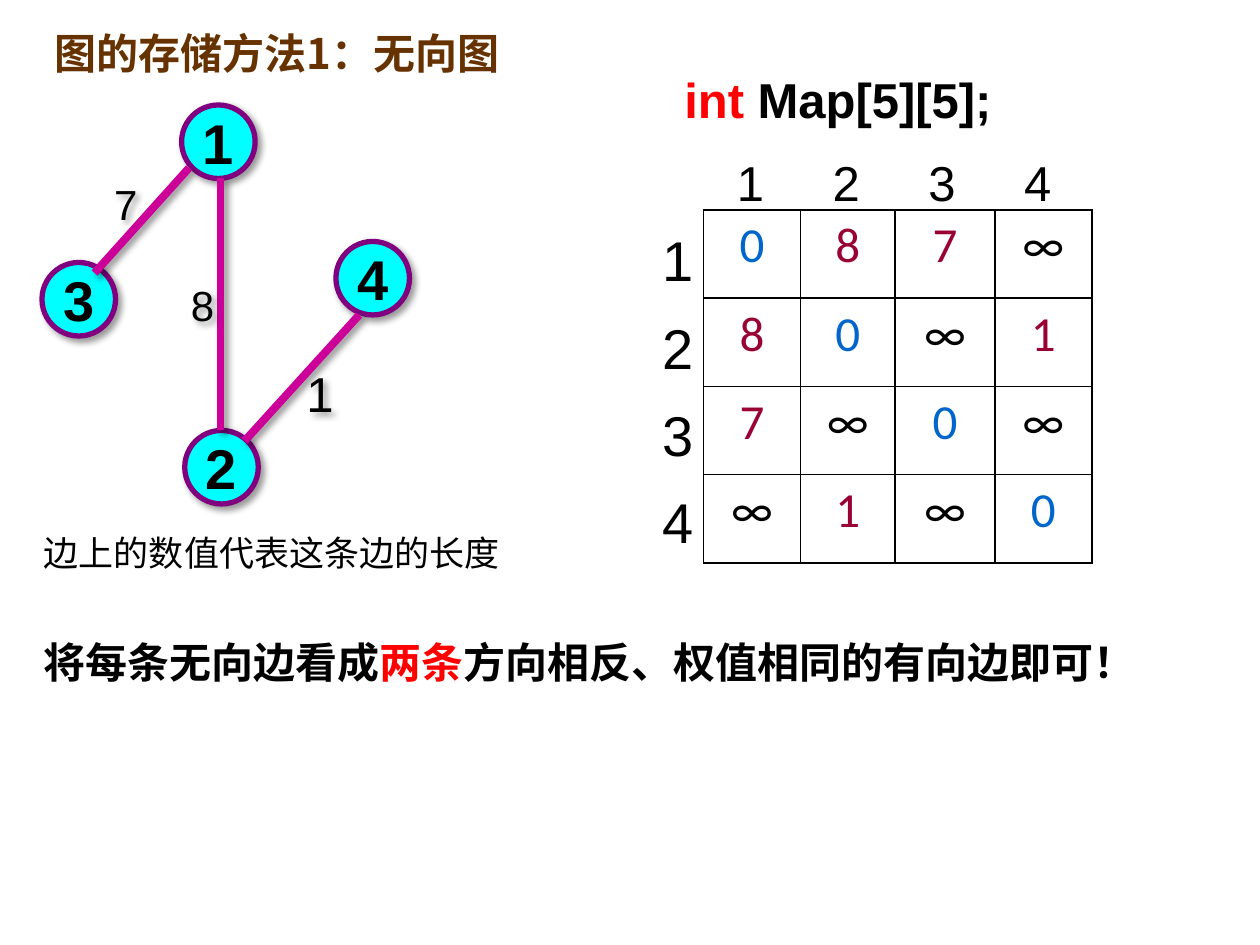
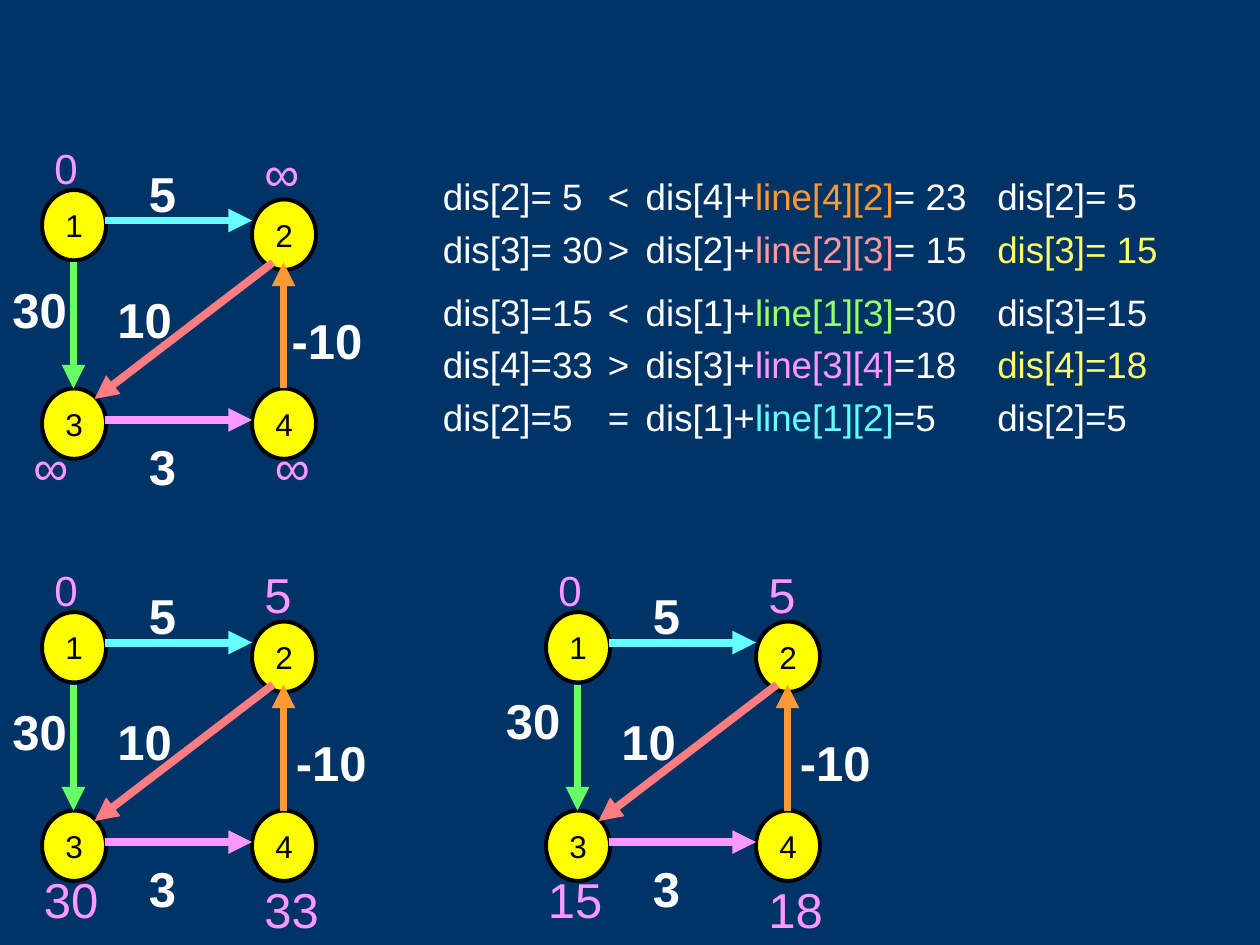
from dataclasses import dataclass

from lxml import etree
from pptx import Presentation
from pptx import util as u
from pptx.dml.color import RGBColor
from pptx.enum import shapes, text
from pptx.oxml import parse_xml
from pptx.oxml.ns import nsdecls, qn


@dataclass(frozen=True)
class Theme:
    latin: str = "Arial"
    title_font: str = "Noto Sans CJK JP"
    bold_cjk: str = "Noto Sans CJK SC"
    table_font: str = "Calibri"
    white: str = "FFFFFF"
    black: str = "000000"
    navy: str = "003366"
    brown: str = "663300"
    red: str = "FF0000"
    blue: str = "0066CC"
    crimson: str = "990033"
    aqua: str = "00FFFF"
    purple: str = "800080"
    magenta: str = "CC0099"
    yellow: str = "FFFF00"
    pale_yellow: str = "FFFF66"
    green: str = "66FF66"
    lime: str = "99FF66"
    pink: str = "FF99FF"
    orange: str = "FF9933"
    salmon: str = "FF7C80"
    rose: str = "FF9999"
    cyan: str = "66FFFF"
    vertex: int = 32
    code: int = 28
    heading: int = 24
    formula: int = 21
    caption: int = 20
    small_vertex: int = 18
    edge: float = 4.5


T = Theme()
CELL = u.Inches(10) / 120  # the slide is a grid of 120 columns and 90 rows
SHADOW = (f'<a:effectLst {nsdecls("a")}><a:outerShdw blurRad="50800" dist="38100" '
          'dir="2700000"><a:srgbClr val="000000"><a:alpha val="40000"/></a:srgbClr>'
          '</a:outerShdw></a:effectLst>')
FLAT = f'<a:effectLst {nsdecls("a")}/>'


def label(slide, at, lines, size, font=T.latin, bold=False, disc=None, effect=FLAT,
          tabs=()):
    """Write lines of (words, colour) runs; disc = (fill, line, width) draws a vertex."""
    place = [round(n * CELL) for n in at]
    if disc:
        fill, outline, width = disc
        box = slide.shapes.add_shape(shapes.MSO_SHAPE.OVAL, *place)
        box.fill.solid()
        box.fill.fore_color.rgb = RGBColor.from_string(fill)
        box.line.color.rgb = RGBColor.from_string(outline)
        box.line.width = u.Pt(width)
        box.text_frame.vertical_anchor = text.MSO_ANCHOR.MIDDLE
    else:
        box = slide.shapes.add_textbox(*place)
    box._element.spPr.append(parse_xml(effect))
    frame = box.text_frame
    frame.word_wrap = not disc
    for i, runs in enumerate(lines):
        para = frame.add_paragraph() if i else frame.paragraphs[0]
        para.alignment = text.PP_ALIGN.CENTER if disc else text.PP_ALIGN.LEFT
        if tabs:
            stops = etree.SubElement(para._p.get_or_add_pPr(), qn("a:tabLst"))
            for stop in tabs:
                etree.SubElement(stops, qn("a:tab"), pos=str(u.Inches(stop)), algn="l")
        for words, colour in runs:
            run = para.add_run()
            run.text = words
            run.font.size = u.Pt(size)
            run.font.bold = bold
            run.font.color.rgb = RGBColor.from_string(colour)
            run.font.name = font
            etree.SubElement(run.font._element, qn("a:ea"), typeface=font)
    return frame


def join(slide, start, end, colour, arrow=False, effect=FLAT):
    """Draw a graph edge between two grid points."""
    ends = [round(n * CELL) for n in (*start, *end)]
    edge = slide.shapes.add_connector(shapes.MSO_CONNECTOR.STRAIGHT, *ends)
    edge.line.color.rgb = RGBColor.from_string(colour)
    edge.line.width = u.Pt(T.edge)
    if arrow:
        etree.SubElement(edge.line._get_or_add_ln(), qn("a:tailEnd"), type="triangle")
    edge._element.spPr.append(parse_xml(effect))


deck = Presentation()
deck.slide_width, deck.slide_height = u.Inches(10), u.Inches(7.5)
storage, relaxation = [deck.slides.add_slide(deck.slide_layouts[6]) for _ in range(2)]
for slide, colour in ((storage, T.white), (relaxation, T.navy)):
    slide.background.fill.solid()
    slide.background.fill.fore_color.rgb = RGBColor.from_string(colour)

# Slide 1: undirected graph and its adjacency matrix
label(storage, (4, 2, 61, 6), [[("图的存储方法1：无向图", T.brown)]], T.heading,
      T.title_font, bold=True)

vertices = {1: (17.3, 10), 3: (4, 25), 2: (17.6, 41), 4: (32, 23)}
for vertex, corner in vertices.items():
    label(storage, (*corner, 7, 7), [[(str(vertex), T.black)]], T.vertex, bold=True,
          disc=(T.aqua, T.purple, 3), effect=SHADOW)

# vertex pair: length, edge ends, label corner, label size
roads = {
    (2, 4): (1, (34.2, 30), (23.3, 42), (28, 34), T.code),
    (1, 3): (7, (18, 16), (9, 26), (9.7, 16.4), T.heading),
    (1, 2): (8, (21, 17), (21, 41), (17, 26), T.heading),
}
for length, start, end, corner, size in roads.values():
    join(storage, start, end, T.magenta, effect=SHADOW)
    label(storage, (*corner, 7, 6), [[(str(length), T.black)]], size, effect=SHADOW)

column_widths, row_height = (9.25, 9, 9.5, 9.25), 8.4
matrix_at = [round(n * CELL) for n in (67, 20, sum(column_widths), 4 * row_height)]
matrix = storage.shapes.add_table(4, 4, *matrix_at).table
matrix.first_row = matrix.horz_banding = False
for column, width in zip(matrix.columns, column_widths):
    column.width = round(width * CELL)
for r, row in enumerate(matrix.rows, 1):
    row.height = round(row_height * CELL)
    for c, entry in enumerate(row.cells, 1):
        pair = (min(r, c), max(r, c))
        if r == c:
            value, colour = "0", T.blue
        elif pair in roads:
            value, colour = str(roads[pair][0]), T.crimson
        else:
            value, colour = "∞", T.black
        entry.text_frame.text = value
        para = entry.text_frame.paragraphs[0]
        para.alignment = text.PP_ALIGN.CENTER
        font = para.runs[0].font
        font.size, font.name = u.Pt(T.code), T.table_font
        font.color.rgb = RGBColor.from_string(colour)
        entry.fill.background()
        for i, side in enumerate(("lnL", "lnR", "lnT", "lnB")):
            border = parse_xml(f'<a:{side} {nsdecls("a")} w="12700"><a:solidFill>'
                               f'<a:srgbClr val="{T.black}"/></a:solidFill></a:{side}>')
            entry._tc.get_or_add_tcPr().insert(i, border)

row_heads = label(storage, (61.9, 19, 7.7, 34.4), [[(n, T.black)] for n in "1234"],
                  T.vertex)
for para in row_heads.paragraphs:
    para.line_spacing = 1.3
label(storage, (69, 13.9, 44.8, 6.8), [[("1\t2\t3\t4", T.black)]], T.code,
      tabs=[0.76 * n for n in (1, 2, 3)])
label(storage, (64, 6, 35, 6.8), [[("int", T.red), (" Map[5][5];", T.black)]], T.code,
      bold=True)
label(storage, (3, 60, 111, 6),
      [[("将每条无向边看成", T.black), ("两条", T.red),
        ("方向相反、权值相同的有向边即可！", T.black)]], T.heading, T.bold_cjk, bold=True)
label(storage, (3, 50, 47, 5.2), [[("边上的数值代表这条边的长度", T.black)]], T.caption)

# Slide 2: one directed graph in three states, and the relaxation steps
corners = {1: (4, 5.1), 2: (24, 6), 3: (4, 24), 4: (24, 24)}
arrows = [
    ((7, 12), (7, 24), T.green),
    ((10, 27), (24, 27), T.pink),
    ((27, 24), (27, 12), T.orange),
    ((26, 12), (9, 25), T.salmon),
    ((10, 8), (24, 8), T.cyan),
]
weights = {"5": (13, 2), "30": (0, 13), "3": (13, 28), "-10": (27, 16), "10": (10, 14)}
unknown_at = ((4, 0), (24, 0), (2, 28), (25, 28))
known_at = ((4, 0), (24, 0), (3, 29), (24, 30))
# graph origin, distances, their places, weights that sit elsewhere
states = [
    ((0, 13), ("0", "∞", "∞", "∞"), unknown_at, {"-10": (26.6, 16)}),
    ((0, 53.2), ("0", "5", "30", "33"), known_at, {}),
    ((48, 53.2), ("0", "5", "15", "18"), known_at, {"30": (-1, 12)}),
]
for (left, top), distances, places, moved in states:
    for vertex, (x, y) in corners.items():
        label(relaxation, (left + x, top + y, 6.1, 6.7), [[(str(vertex), T.black)]],
              T.small_vertex, disc=(T.yellow, T.black, 2.25))
    for (x1, y1), (x2, y2), colour in arrows:
        join(relaxation, (left + x1, top + y1), (left + x2, top + y2), colour, arrow=True)
    for weight, (x, y) in {**weights, **moved}.items():
        label(relaxation, (left + x, top + y, 11, 6.8), [[(weight, T.white)]], T.code,
              bold=True)
    for i, (distance, (x, y)) in enumerate(zip(distances, places)):
        label(relaxation, (left + x, top + y, 9 if len(distance) > 1 else 6, 6.8),
              [[(distance, T.pink)]], T.code if i else T.heading)

# row, current distance and sign, candidate edge, its sum, result, colours
steps = [
    (16, "dis[2]= 5\t<\tdis[4]+", "line[4][2]", "= 23\t", "dis[2]= 5", T.orange, T.white),
    (21, "dis[3]= 30\t>\tdis[2]+", "line[2][3]", "= 15\t", "dis[3]= 15", T.rose,
     T.pale_yellow),
    (27, "dis[3]=15\t<\tdis[1]+", "line[1][3]", "=30\t", "dis[3]=15", T.lime, T.white),
    (32, "dis[4]=33\t>\tdis[3]+", "line[3][4]", "=18\t", "dis[4]=18", T.pink,
     T.pale_yellow),
    (37, "dis[2]=5\t=\tdis[1]+", "line[1][2]", "=5\t", "dis[2]=5", T.cyan, T.white),
]
for y, current, line, total, result, line_colour, result_colour in steps:
    label(relaxation, (41, y, 75, 5.4),
          [[(current, T.white), (line, line_colour), (total, T.white),
            (result, result_colour)]], T.formula, tabs=(1.31, 1.61, 4.4))

deck.save("out.pptx")
